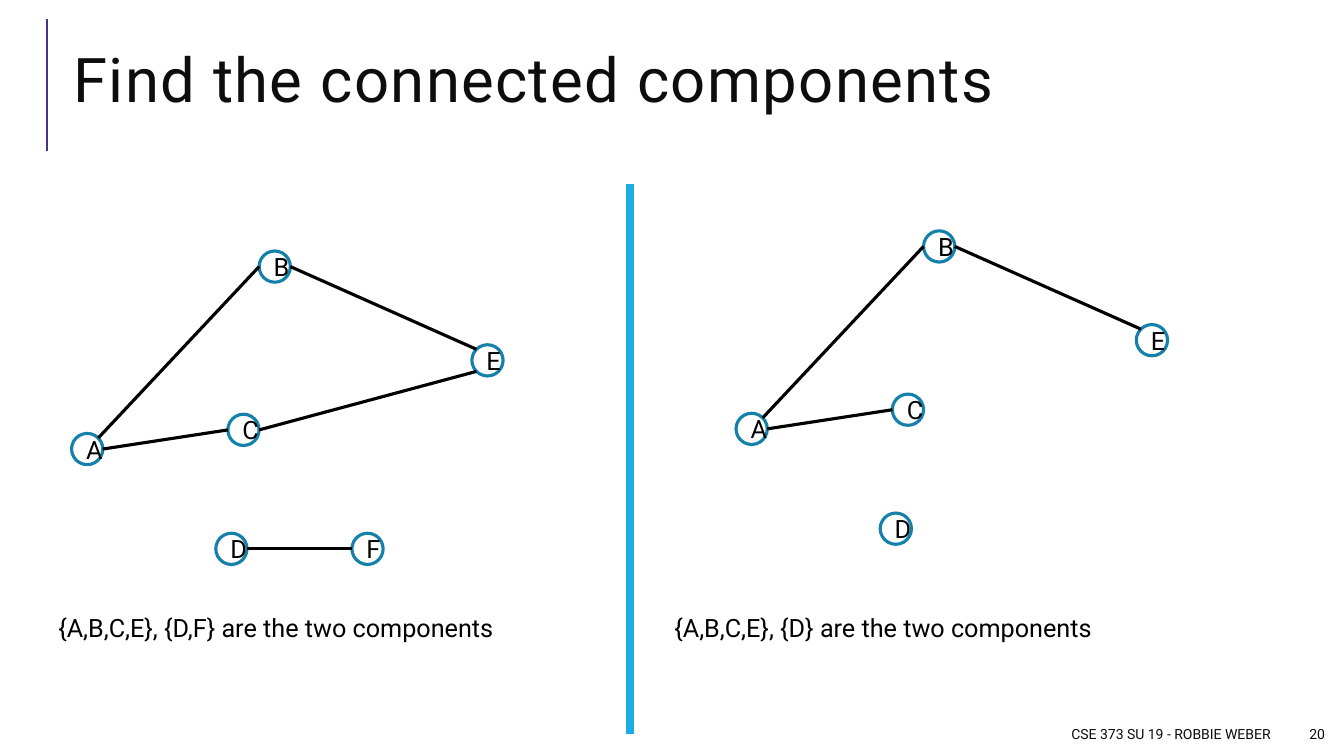
from lxml.etree import SubElement
from pptx import Presentation
from pptx.dml.color import RGBColor
from pptx.enum.shapes import MSO_CONNECTOR, MSO_SHAPE
from pptx.enum.text import MSO_ANCHOR as Anchor, PP_ALIGN as Align
from pptx.oxml.ns import qn
from pptx.util import Inches, Pt

FONT = "Roboto"
BLACK, INK, WHITE = "000000", "0D0D0D", "FFFFFF"
PURPLE, CYAN, TEAL = "4C3282", "1CADE4", "1580A9"

NODE_SIZE = 0.31
RADIUS = NODE_SIZE / 2
DIAGONAL = 0.11
SITES = {
    "left": (-RADIUS, 0),
    "right": (RADIUS, 0),
    "top left": (-DIAGONAL, -DIAGONAL),
    "top right": (DIAGONAL, -DIAGONAL),
    "bottom left": (-DIAGONAL, DIAGONAL),
}
NODES = {
    "A": (0.71, 4.3),
    "B": (2.57, 2.49),
    "C": (2.26, 4.11),
    "D": (2.14, 5.29),
    "E": (4.68, 3.42),
    "F": (3.49, 5.29),
}
SHARED_EDGES = [
    ("C", "left", "A", "right"),
    ("B", "right", "E", "top left"),
    ("B", "left", "A", "top right"),
]
LEFT_EDGES = SHARED_EDGES + [
    ("F", "left", "D", "right"),
    ("E", "bottom left", "C", "right"),
]


def color(value):
    return RGBColor.from_string(value)


def style_text(paragraph, size, ink):
    paragraph.font.size = Pt(size)
    for run in paragraph.runs:
        run.font.size = Pt(size)
        run.font.name = FONT
        run.font.color.rgb = color(ink)


def add_text(shapes, box, text, size, ink=INK, align=Align.LEFT, anchor=Anchor.MIDDLE):
    frame = shapes.add_textbox(*map(Inches, box)).text_frame
    frame.word_wrap = True
    frame.vertical_anchor = anchor
    frame.text = text
    paragraph = frame.paragraphs[0]
    paragraph.alignment = align
    style_text(paragraph, size, ink)
    return paragraph


def add_line(shapes, start, end, ink, width):
    line = shapes.add_connector(MSO_CONNECTOR.STRAIGHT, *map(Inches, (*start, *end)))
    line.line.color.rgb = color(ink)
    line.line.width = Pt(width)
    SubElement(line._element.spPr, qn("a:effectLst"))


def add_node(shapes, letter, left, top):
    node = shapes.add_shape(
        MSO_SHAPE.OVAL, *map(Inches, (left, top, NODE_SIZE, NODE_SIZE))
    )
    node.shadow.inherit = False
    node.fill.solid()
    node.fill.fore_color.rgb = color(WHITE)
    node.line.color.rgb = color(TEAL)
    node.line.width = Pt(2.25)
    node.text_frame.text = letter
    node.text_frame.vertical_anchor = Anchor.MIDDLE
    paragraph = node.text_frame.paragraphs[0]
    paragraph.alignment = Align.CENTER
    style_text(paragraph, 18, BLACK)


def add_graph(slide, letters, edges, dx=0, dy=0):
    shapes = slide.shapes.add_group_shape().shapes
    corners = {letter: (NODES[letter][0] + dx, NODES[letter][1] + dy) for letter in letters}

    def site_point(letter, site):
        return [corner + RADIUS + shift for corner, shift in zip(corners[letter], SITES[site])]

    for letter, corner in corners.items():
        add_node(shapes, letter, *corner)
    for start, start_site, end, end_site in edges:
        add_line(shapes, site_point(start, start_site), site_point(end, end_site), BLACK, 2.25)


def main():
    deck = Presentation()
    deck.slide_width, deck.slide_height = Inches(13.33), Inches(7.5)
    slide = deck.slides.add_slide(deck.slide_layouts[6])
    shapes = slide.shapes

    add_line(shapes, (0.47, 1.5), (0.47, 0.19), PURPLE, 1.5)
    title = add_text(shapes, (0.63, 0.29, 12.23, 1.11), "Find the connected components", 44)
    title.line_spacing = 0.8
    title.runs[0].font._element.set("spc", "100")

    add_text(shapes, (6.25, 7.13, 6.45, 0.3), "CSE 373 SU 19 - ROBBIE WEBER", 10, align=Align.RIGHT)
    add_text(shapes, (12.78, 7.13, 0.46, 0.3), "20", 10, align=Align.RIGHT)

    add_graph(slide, "ABCDEF", LEFT_EDGES)
    add_graph(slide, "ABCDE", SHARED_EDGES, dx=6.59, dy=-0.2)
    add_line(shapes, (6.25, 1.83), (6.25, 7.28), CYAN, 6)

    for left, components in ((0.48, "{A,B,C,E}, {D,F}"), (6.59, "{A,B,C,E}, {D}")):
        add_text(
            shapes, (left, 6.03, 5.13, 0.4), f"{components} are the two components",
            18, BLACK, anchor=Anchor.TOP,
        )

    deck.save("out.pptx")


if __name__ == "__main__":
    main()
